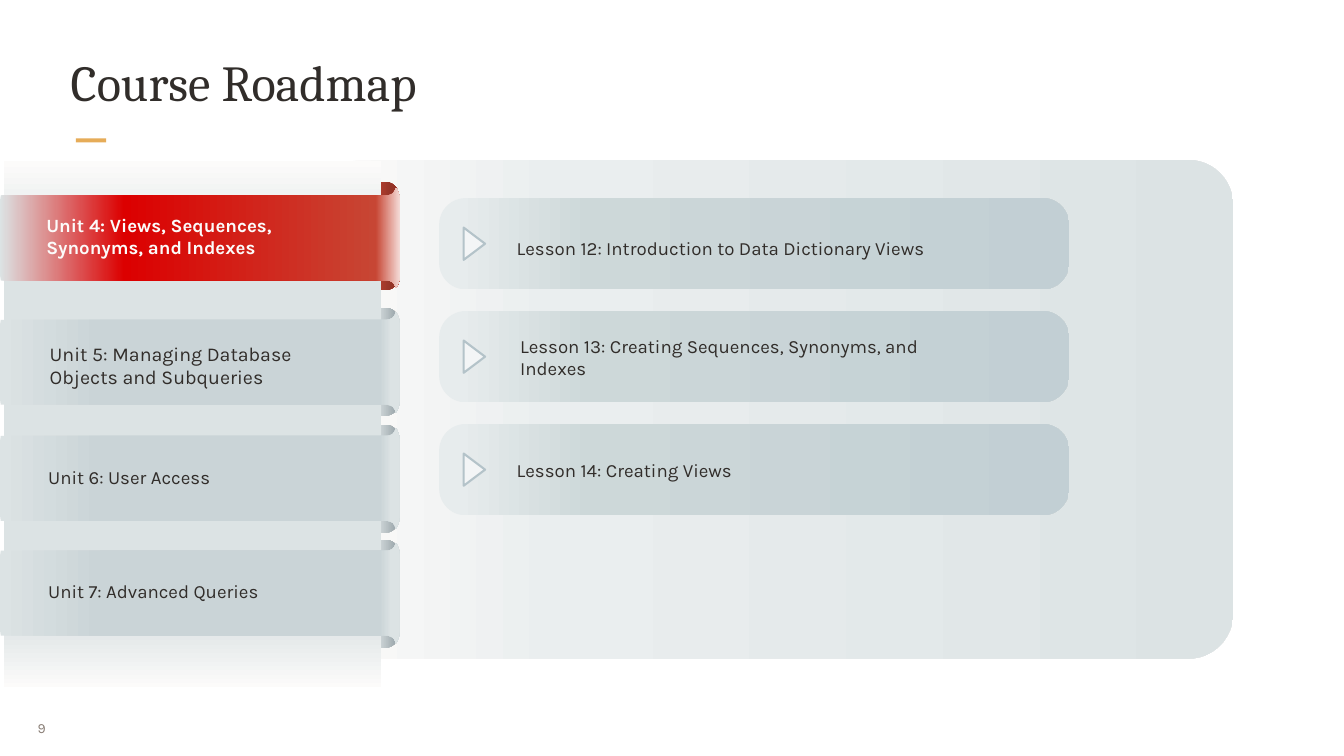
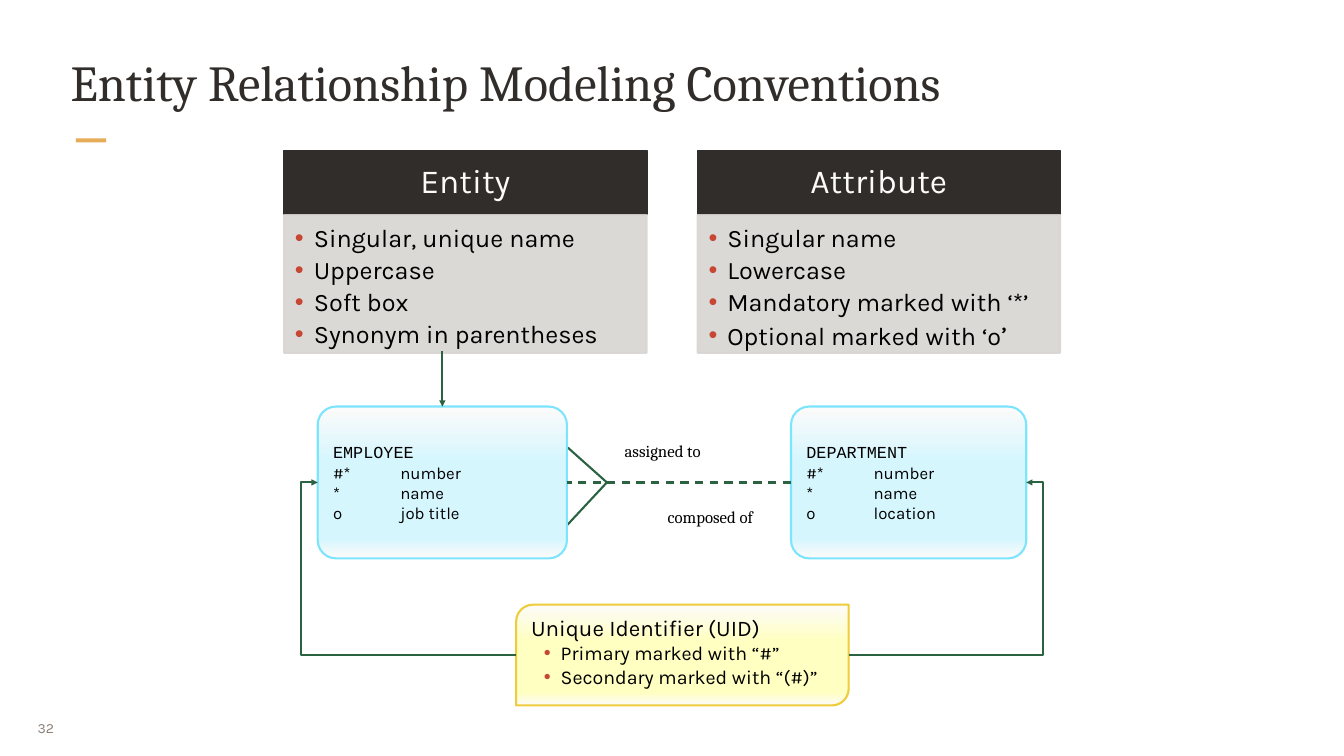
from lxml.etree import SubElement
from pptx import Presentation
from pptx.dml.color import RGBColor
from pptx.enum.dml import MSO_LINE
from pptx.enum.shapes import MSO_CONNECTOR, MSO_SHAPE
from pptx.enum.text import MSO_ANCHOR, MSO_AUTO_SIZE, PP_ALIGN
from pptx.oxml.ns import qn
from pptx.util import Cm, Pt

# Colours
INK = RGBColor(0x31, 0x2D, 0x2A)
BLACK = RGBColor(0x00, 0x00, 0x00)
OFF_WHITE = RGBColor(0xFC, 0xFB, 0xFA)
GOLD = RGBColor(0xE6, 0xAC, 0x58)
TAUPE = RGBColor(0x8B, 0x80, 0x78)
STONE = RGBColor(0xD8, 0xD5, 0xD2)
BRICK = RGBColor(0xC7, 0x46, 0x34)
DARK_BRICK = RGBColor(0x95, 0x34, 0x27)
RED = RGBColor(0xDC, 0x00, 0x00)
PINK = RGBColor(0xF4, 0xDA, 0xD6)
MIST = RGBColor(0xDC, 0xE3, 0xE4)
PALE_MIST = RGBColor(0xEA, 0xEE, 0xEF)
FOG = RGBColor(0xCA, 0xD4, 0xD7)
EAR_LIGHT = RGBColor(0xDE, 0xE4, 0xE5)
EAR_DARK = RGBColor(0x96, 0xA2, 0xA7)
PILL_LIGHT = RGBColor(0xE7, 0xEC, 0xED)
PILL_MID = RGBColor(0xCD, 0xD8, 0xD9)
PILL_DARK = RGBColor(0xC2, 0xCF, 0xD4)
ARROW_FILL = RGBColor(0xF3, 0xF5, 0xF6)
ARROW_EDGE = RGBColor(0xB4, 0xC3, 0xC9)
GREEN = RGBColor(0x2B, 0x62, 0x42)
CYAN = RGBColor(0xD6, 0xF6, 0xFE)
CYAN_EDGE = RGBColor(0x7C, 0xE4, 0xFC)
YELLOW = RGBColor(0xFF, 0xFF, 0xC1)
YELLOW_EDGE = RGBColor(0xEF, 0xCC, 0x39)

HEADING, BODY, CODE = "Cambria", "Karla", "Courier New"


def paint(shape, fill=None, line=None, width=2.25, angle=0):
    """Fill with a colour or with (percent, colour) stops, and set the outline."""
    shape.shadow.inherit = False
    if fill is None:
        shape.fill.background()
    elif isinstance(fill, RGBColor):
        shape.fill.solid()
        shape.fill.fore_color.rgb = fill
    else:
        shape.fill.gradient()
        shape.fill.gradient_angle = (360 - angle) % 360
        stops = shape._element.spPr.find(qn("a:gradFill")).find(qn("a:gsLst"))
        for stop in list(stops):
            stops.remove(stop)
        for percent, color in fill:
            stop = SubElement(stops, qn("a:gs"), pos=str(percent * 1000))
            SubElement(stop, qn("a:srgbClr"), val=str(color))
    if line is None:
        shape.line.fill.background()
    else:
        shape.line.color.rgb = line
        shape.line.width = Pt(width)


def write(shape, lines, size, color=INK, font=BODY, bold=False, align=PP_ALIGN.LEFT,
          anchor=MSO_ANCHOR.MIDDLE, insets=(0.25, 0.13, 0.25, 0.13),
          hang=None, first_bullet=0, tab=None, spacing=1.0, after=0):
    """Fill a frame; a line is one run or a list of runs, hang is (margin, indent)."""
    frame = shape.text_frame
    frame.word_wrap = True
    frame.auto_size = MSO_AUTO_SIZE.NONE
    frame.vertical_anchor = anchor
    (frame.margin_left, frame.margin_top,
     frame.margin_right, frame.margin_bottom) = map(Cm, insets)
    for index, line in enumerate(lines):
        paragraph = frame.add_paragraph() if index else frame.paragraphs[0]
        properties = paragraph._p.get_or_add_pPr()
        if hang and index >= first_bullet:
            properties.set("marL", str(Cm(hang[0])))
            properties.set("indent", str(Cm(hang[1])))
            SubElement(SubElement(properties, qn("a:buClr")), qn("a:srgbClr"), val=str(BRICK))
            SubElement(properties, qn("a:buFont"), typeface="Arial")
            SubElement(properties, qn("a:buChar"), char="•")
        if tab:
            tabs = SubElement(properties, qn("a:tabLst"))
            SubElement(tabs, qn("a:tab"), pos=str(Cm(tab)), algn="l")
        paragraph.alignment = align
        paragraph.line_spacing = spacing
        paragraph.space_before = Pt(0)
        paragraph.space_after = Pt(after)
        for piece in [line] if isinstance(line, str) else line:
            run = paragraph.add_run()
            run.text = piece
            run.font.name = font
            run.font.size = Pt(size)
            run.font.bold = bold
            run.font.color.rgb = color
    return frame


deck = Presentation()
deck.slide_width, deck.slide_height = Cm(50.8), Cm(28.58)
roadmap = deck.slides.add_slide(deck.slide_layouts.get_by_name("Title Only"))
conventions = deck.slides.add_slide(deck.slide_layouts.get_by_name("Comparison"))

# Shared title, gold dash and page number
for slide, heading, number in [
    (roadmap, "Course Roadmap", "9"),
    (conventions, "Entity Relationship Modeling Conventions", "32"),
]:
    title = slide.shapes.title
    title.left, title.top, title.width, title.height = Cm(2.59), Cm(1.7), Cm(45.62), Cm(3.25)
    write(title, [heading], 54, font=HEADING, anchor=MSO_ANCHOR.TOP,
          insets=(0.08, 0.25, 0.08, 0.08))
    dash = slide.shapes.add_shape(MSO_SHAPE.RECTANGLE, Cm(2.87), Cm(5.23), Cm(1.14), Cm(0.15))
    paint(dash, GOLD)
    page = slide.shapes.add_textbox(Cm(1.09), Cm(26.77), Cm(1.65), Cm(1.47))
    write(page, [number], 15, TAUPE, insets=(0.33, 0.18, 0.33, 0.18))

# Roadmap: panel, ribbon ends and the strip behind the ribbons
shapes = roadmap.shapes
panel = shapes.add_shape(MSO_SHAPE.ROUNDED_RECTANGLE, Cm(12.01), Cm(6.05), Cm(34.6), Cm(18.85))
panel.adjustments[0] = 0.09
paint(panel, [(0, OFF_WHITE), (26, PALE_MIST), (100, MIST)])

ACTIVE_END = [(73, BRICK), (92, DARK_BRICK)]
QUIET_END = [(77, EAR_LIGHT), (99, EAR_DARK)]
for top, ends in [(6.88, ACTIVE_END), (11.63, QUIET_END), (16.05, QUIET_END), (20.4, QUIET_END)]:
    ribbon_end = shapes.add_shape(MSO_SHAPE.ROUNDED_RECTANGLE,
                                  Cm(11.07), Cm(top), Cm(4.01), Cm(4.09))
    ribbon_end.adjustments[0] = 0.13
    paint(ribbon_end, ends)

strip = shapes.add_shape(MSO_SHAPE.RECTANGLE, Cm(0.15), Cm(6.1), Cm(14.25), Cm(19.89))
paint(strip, [(0, OFF_WHITE), (17, MIST), (87, MIST), (100, OFF_WHITE)], angle=90)

# Roadmap: unit ribbons, the lower half of the outline mirrors the upper half
RIBBON_HEIGHT = 3.81
upper = [(0, 0.51), (0.03, 0.3), (14.63, 0.3), (14.74, 0.28), (14.84, 0.23), (14.92, 0.13),
         (14.96, 0), (15.03, 0.11), (15.09, 0.29), (15.11, 0.51)]
outline = upper + [(x, RIBBON_HEIGHT - y) for x, y in reversed(upper)]
ACTIVE = [(0, MIST), (31, RED), (94, BRICK), (100, PINK)]
QUIET = [(0, MIST), (25, FOG), (95, FOG), (98, MIST)]
for label, ribbon_top, left, top, size, blend in [
    ("Unit 4: Views, Sequences, Synonyms, and Indexes", 7.09, 1.5, 7.95, 20, ACTIVE),
    ("Unit 5: Managing Database Objects and Subqueries", 11.79, 1.63, 12.82, 21, QUIET),
    ("Unit 6: User Access", 16.18, 1.57, 17.05, 20, QUIET),
    ("Unit 7: Advanced Queries", 20.52, 1.57, 21.35, 20, QUIET),
]:
    points = [(Cm(x), Cm(ribbon_top + y)) for x, y in outline]
    builder = shapes.build_freeform(*points[0])
    builder.add_line_segments(points[1:], close=True)
    paint(builder.convert_to_shape(), blend)
    unit = shapes.add_textbox(Cm(left), Cm(top), Cm(12.2), Cm(1.96))
    is_active = blend is ACTIVE
    write(unit, [label], size, OFF_WHITE if is_active else INK, bold=is_active)

# Roadmap: lessons of the active unit
for row, (label, left, top) in enumerate([
    ("Lesson 12: Introduction to Data Dictionary Views", 19.28, 8.81),
    ("Lesson 13: Creating Sequences, Synonyms, and Indexes", 19.41, 12.93),
    ("Lesson 14: Creating Views", 19.28, 17.2),
]):
    offset = 4.27 * row
    pill = shapes.add_shape(MSO_SHAPE.ROUNDED_RECTANGLE,
                            Cm(16.6), Cm(7.49 + offset), Cm(23.81), Cm(3.45))
    pill.adjustments[0] = 0.29
    paint(pill, [(3, PILL_LIGHT), (24, PILL_MID), (100, PILL_DARK)])
    pointer = shapes.add_shape(MSO_SHAPE.ISOSCELES_TRIANGLE,
                               Cm(17.32), Cm(8.81 + offset), Cm(1.22), Cm(0.81))
    pointer.rotation = 90
    paint(pointer, ARROW_FILL, ARROW_EDGE)
    lesson = shapes.add_textbox(Cm(left), Cm(top), Cm(17.2), Cm(1.12))
    write(lesson, [label], 20)

# Conventions: entity and attribute cards in the comparison placeholders
shapes = conventions.shapes
cards = [
    ("Entity", 10.74, ["Singular, unique name", "Uppercase", "Soft box",
                       "Synonym in parentheses"]),
    ("Attribute", 26.37, ["Singular name", "Lowercase", "Mandatory marked with ‘*’",
                          ["Optional marked with ‘o", "’"]]),
]
for column, (name, left, rules) in enumerate(cards):
    header = conventions.placeholders[1 + 2 * column]
    header.left, header.top, header.width, header.height = Cm(left), Cm(5.69), Cm(13.7), Cm(2.41)
    paint(header, INK, INK, 2)
    write(header, [name], 36, OFF_WHITE, align=PP_ALIGN.CENTER, spacing=0.9,
          insets=(0.71, 0.41, 0.71, 0.41))
    card = conventions.placeholders[2 + 2 * column]
    card.left, card.top, card.width, card.height = Cm(left), Cm(8.13), Cm(13.7), Cm(5.21)
    paint(card, STONE, STONE, 2)
    for color in card._element.spPr.iter(qn("a:srgbClr")):
        SubElement(color, qn("a:alpha"), val="90000")
    rule_text = write(card, rules, 27, BLACK, anchor=MSO_ANCHOR.TOP, hang=(0.71, -0.71),
                      spacing=0.9, after=5, insets=(0.41, 0.4, 0.53, 0.61))
rule_text.paragraphs[-1].runs[-1].font.size = Pt(30)

# Conventions: unique identifier note
identifier = shapes.add_shape(MSO_SHAPE.ROUND_2_DIAG_RECTANGLE,
                              Cm(19.51), Cm(22.86), Cm(12.57), Cm(3.81))
paint(identifier, [(0, OFF_WHITE), (36, YELLOW), (87, YELLOW), (100, OFF_WHITE)],
      YELLOW_EDGE, angle=90)
note = write(identifier, ["Unique Identifier (UID)", "Primary marked with “#”",
                          "Secondary marked with “(#)”"], 21, BLACK,
             anchor=MSO_ANCHOR.TOP, insets=(0.38, 0.18, 0.38, 0.18),
             hang=(1.12, -0.64), first_bullet=1)
note.paragraphs[0].runs[0].font.size = Pt(24)

# Conventions: crow's foot and relationship names
builder = shapes.build_freeform(Cm(21.46), Cm(16.92))
builder.add_line_segments([(Cm(22.94), Cm(18.24)), (Cm(21.03), Cm(20.29))], close=False)
paint(builder.convert_to_shape(), line=GREEN)
for label, left, top, width in [("assigned to", 22.2, 16.46, 5.69),
                                ("composed of", 21.79, 18.97, 10.11)]:
    relationship = shapes.add_textbox(Cm(left), Cm(top), Cm(width), Cm(1.17))
    write(relationship, [label], 18, BLACK, HEADING, align=PP_ALIGN.CENTER,
          anchor=MSO_ANCHOR.TOP, insets=(0.38, 0.2, 0.38, 0.2))

# Conventions: entity soft boxes
entities = []
for name, last_attribute, left, width in [("EMPLOYEE", "job title", 12.01, 9.42),
                                          ("DEPARTMENT", "location", 29.9, 8.89)]:
    entity = shapes.add_shape(MSO_SHAPE.ROUNDED_RECTANGLE,
                              Cm(left), Cm(15.37), Cm(width), Cm(5.74))
    entity.adjustments[0] = 0.12
    paint(entity, [(0, OFF_WHITE), (36, CYAN), (87, CYAN), (100, OFF_WHITE)],
          CYAN_EDGE, angle=90)
    attributes = write(entity, [name, "#*\tnumber", "*\tname", f"o\t{last_attribute}"],
                       18, BLACK, tab=2.54, insets=(0.38, 0.2, 0.38, 0.2))
    attributes.paragraphs[0].runs[0].font.name = CODE
    entities.append(entity)
employee, department = entities

# Conventions: relationship line and arrows; bend is the elbow position in 1/1000 percent
for kind, x, y, target, side, bend in [
    (MSO_CONNECTOR.STRAIGHT, 29.9, 18.24, employee, 3, None),
    (MSO_CONNECTOR.STRAIGHT, 16.72, 13.28, employee, 0, None),
    (MSO_CONNECTOR.ELBOW, 19.51, 24.77, employee, 1, 108500),
    (MSO_CONNECTOR.ELBOW, 32.08, 24.77, department, 3, 109400),
]:
    link = shapes.add_connector(kind, Cm(x), Cm(y), Cm(x), Cm(y))
    link.end_connect(target, side)
    link.line.color.rgb = GREEN
    link.line.width = Pt(2.25)
    properties = link._element.spPr
    if target is employee and side == 3:
        link.begin_connect(department, 1)
        link.line.dash_style = MSO_LINE.DASH
    else:
        SubElement(properties.find(qn("a:ln")), qn("a:tailEnd"), type="triangle")
    if bend:
        guides = properties.find(qn("a:prstGeom")).find(qn("a:avLst"))
        SubElement(guides, qn("a:gd"), name="adj1", fmla=f"val {bend}")
    SubElement(properties, qn("a:effectLst"))

deck.save("out.pptx")
